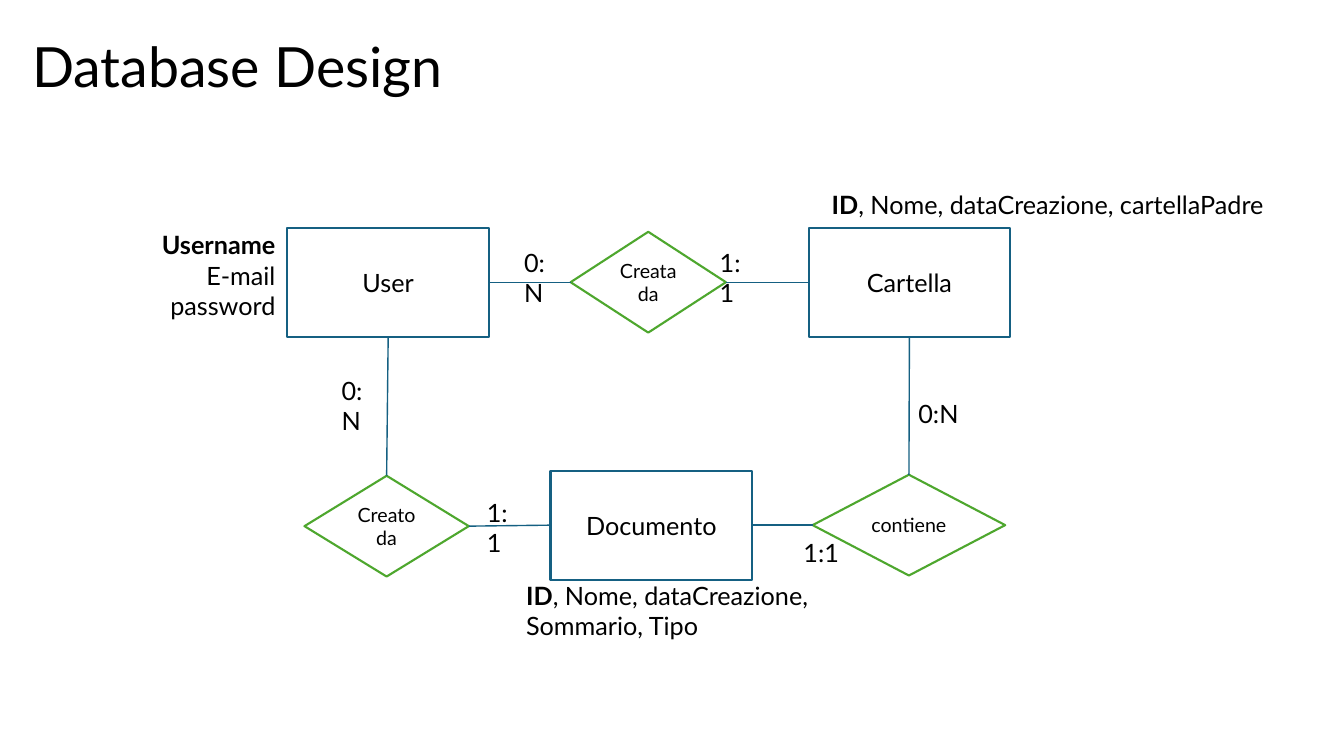
from lxml import etree
from pptx import Presentation
from pptx import util as u
from pptx.dml.color import RGBColor
from pptx.enum import shapes, text
from pptx.oxml.ns import qn

PX = 9144  # EMU per px, 100 px to the inch
COLORS = {"text": "000000", "fill": "FFFFFF", "entity": "156082", "relation": "4EA72E"}
TOP, LEFT, BOTTOM, RIGHT = range(4)  # connection sites
ALIGN = text.PP_ALIGN


class Diagram:
    font = "Lato"

    def __init__(self, slide):
        self.s = slide

    def color(self, name):
        return RGBColor.from_string(COLORS[name])

    def set_text(self, sp, paragraphs, size, align, anchor):
        """Each paragraph is a list of (text, bold) runs."""
        tf = sp.text_frame
        tf.word_wrap = True
        tf.vertical_anchor = anchor
        for i, runs in enumerate(paragraphs):
            p = tf.add_paragraph() if i else tf.paragraphs[0]
            p.alignment = align
            for words, bold in runs:
                r = p.add_run()
                r.text = words
                r.font.name = self.font
                r.font.size = u.Pt(size)
                r.font.bold = bold
                r.font.color.rgb = self.color("text")

    def label(self, box, paragraphs, size=18, align=ALIGN.LEFT, anchor=text.MSO_ANCHOR.TOP):
        sp = self.s.shapes.add_textbox(*(v * PX for v in box))
        self.set_text(sp, paragraphs, size, align, anchor)
        return sp

    def node(self, kind, box, name, line, size):
        sp = self.s.shapes.add_shape(kind, *(v * PX for v in box))
        sp.shadow.inherit = False
        sp.fill.solid()
        sp.fill.fore_color.rgb = self.color("fill")
        sp.line.color.rgb = self.color(line)
        sp.line.width = u.Pt(1.5)
        self.set_text(sp, [[(name, False)]], size, ALIGN.CENTER, text.MSO_ANCHOR.MIDDLE)
        return sp

    def entity(self, name, x, y):
        return self.node(shapes.MSO_SHAPE.RECTANGLE, (x, y, 200, 108), name, "entity", 18)

    def relation(self, name, x, y, width):
        return self.node(shapes.MSO_SHAPE.DIAMOND, (x, y, width, 100), name, "relation", 14)

    def link(self, start, start_site, end, end_site):
        c = self.s.shapes.add_connector(shapes.MSO_CONNECTOR.STRAIGHT, 0, 0, 0, 0)
        c.begin_connect(start, start_site)
        c.end_connect(end, end_site)
        c.line.color.rgb = self.color("entity")
        c.line.width = u.Pt(1)
        etree.SubElement(c._element.spPr, qn("a:effectLst"))


def main():
    prs = Presentation()
    prs.slide_width, prs.slide_height = 1333 * PX, 750 * PX
    d = Diagram(prs.slides.add_slide(prs.slide_layouts[6]))

    # Title
    title = d.label((22, 31, 441, 76), [[("Database Design", False)]], 39.6,
                    anchor=text.MSO_ANCHOR.MIDDLE)
    title.text_frame.paragraphs[0].line_spacing = 0.9

    # Entities and relations
    user = d.entity("User", 285, 226)
    folder = d.entity("Cartella", 802, 226)
    document = d.entity("Documento", 546, 467)
    folder_by = d.relation("Creata da", 566, 230, 154)
    document_by = d.relation("Creato da", 302, 472, 163)
    contains = d.relation("contiene", 806, 471, 191)

    # Links
    for ends in [
        (folder_by, LEFT, user, RIGHT),
        (folder_by, RIGHT, folder, LEFT),
        (contains, LEFT, document, RIGHT),
        (contains, TOP, folder, BOTTOM),
        (document_by, TOP, user, BOTTOM),
        (document_by, RIGHT, document, LEFT),
    ]:
        d.link(*ends)

    # Cardinalities
    for words, x, y, width in [
        ("0:N", 510, 240, 56),
        ("1:1", 704, 240, 53),
        ("0:N", 901, 390, 71),
        ("1:1", 787, 528, 56),
        ("0:N", 329, 367, 56),
        ("1:1", 473, 488, 53),
    ]:
        d.label((x, y, width, 40), [[(words, False)]])

    # Attributes, with keys in bold
    d.label((144, 223, 139, 101),
            [[("Username", True)], [("E-mail", False)], [("password", False)]],
            align=ALIGN.RIGHT)
    for box, fields in [
        ((815, 183, 454, 40), ", Nome, dataCreazione, cartellaPadre"),
        ((512, 571, 303, 71), ", Nome, dataCreazione, Sommario, Tipo"),
    ]:
        d.label(box, [[("ID", True), (fields, False)]])

    prs.save("out.pptx")


if __name__ == "__main__":
    main()
